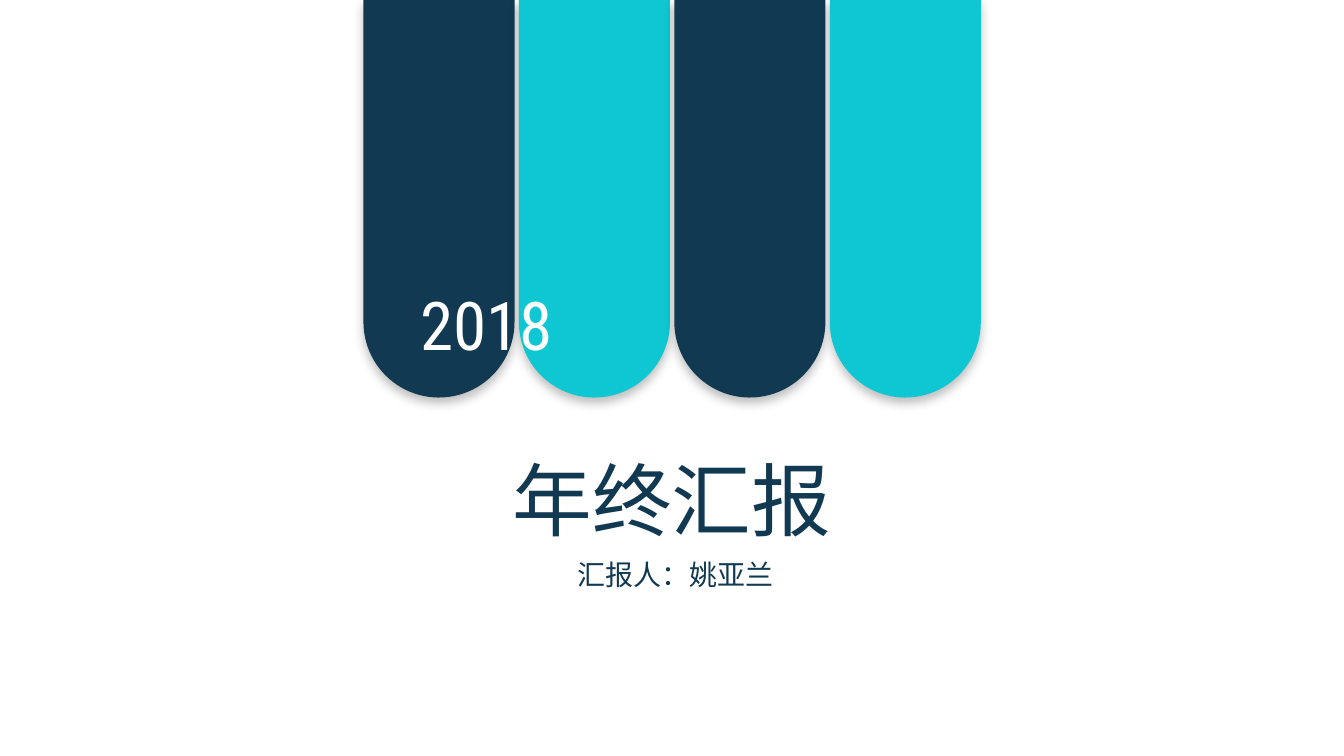
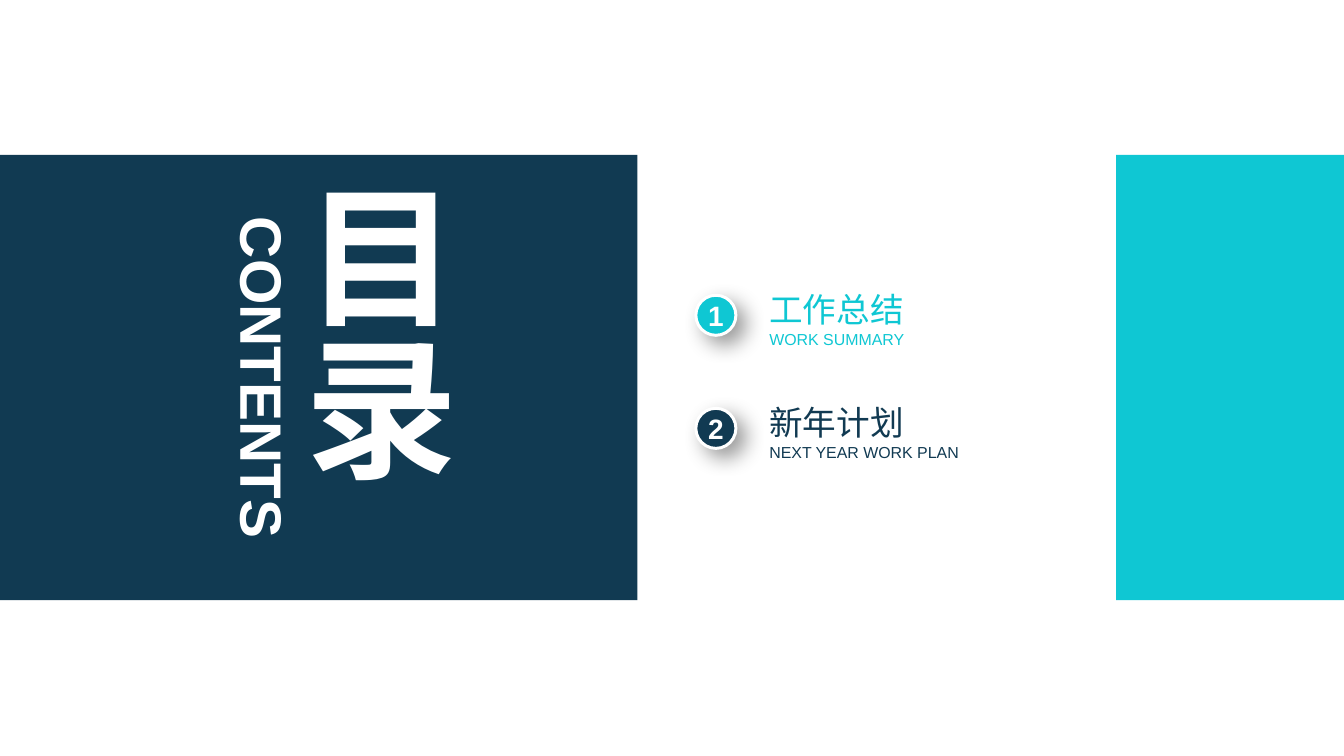
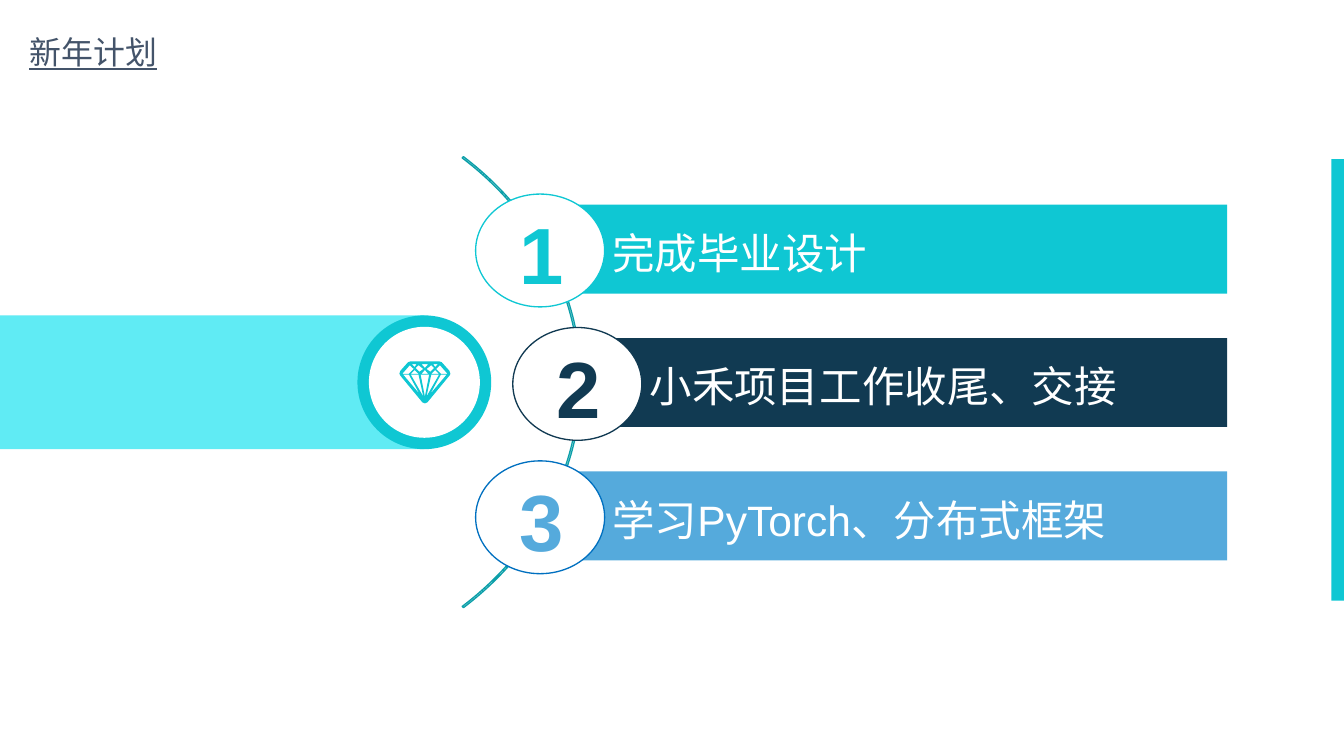
from lxml import etree
from pptx import Presentation
from pptx.dml.color import RGBColor
from pptx.enum.shapes import MSO_SHAPE
from pptx.enum.text import MSO_ANCHOR, MSO_AUTO_SIZE, PP_ALIGN
from pptx.oxml.ns import qn
from pptx.util import Pt

RECTANGLE = MSO_SHAPE.RECTANGLE
OVAL = MSO_SHAPE.OVAL
ROUND_TAB = MSO_SHAPE.ROUND_2_SAME_RECTANGLE
BLOCK_ARC = MSO_SHAPE.BLOCK_ARC
LEFT, CENTER = PP_ALIGN.LEFT, PP_ALIGN.CENTER
TOP, MIDDLE = MSO_ANCHOR.TOP, MSO_ANCHOR.MIDDLE
GROW = MSO_AUTO_SIZE.SHAPE_TO_FIT_TEXT

SLIDE_W, SLIDE_H = 1012.5, 569.5
NAVY, TEAL, SKY, WHITE = "113A52", "0FC7D3", "55AADC", "FFFFFF"
PALE_TEAL, DEEP_TEAL, BLUE, SLATE = "60EBF4", "0C9FA9", "0070C0", "44546A"
ARIAL, CONDENSED, CHINESE = "Arial", "Roboto Condensed", "Noto Sans CJK SC"

# Half of the diamond, in points from the middle of its top edge
DIAMOND_EDGE = [(-10.8, 0), (-12.7, 0.7), (-18.5, 7.2), (-19.2, 9.4),
                (-18.5, 10.8), (-1.8, 31), (0, 31.7)]
SIDE_FACETS = [
    [(-11.3, 2.9), (-8.4, 5.8), (-12, 9.4), (-17, 9.4)],
    [(-4.1, 24.5), (-16.3, 10.1), (-12, 10.1)],
    [(-4.8, 10.1), (-1.2, 26.6), (-10.6, 10.1)],
    [(-7.7, 6.5), (-4.8, 9.4), (-10.6, 9.4)],
    [(-7.7, 4.3), (-9.8, 2.2), (-6.3, 2.2)],
    [(-4.1, 7.9), (-7, 5), (-4.8, 2.9), (-1.2, 5.8)],
]
MIDDLE_FACETS = [
    [(0, 5), (-2.5, 2.2), (2.5, 2.2)],
    [(3.2, 10.1), (0, 26.6), (-3.2, 10.1)],
    [(2.5, 9.4), (-2.5, 9.4), (0, 6.5)],
]


def rgb(color):
    return RGBColor.from_string(color)


def paint(shape, fill, line=None, line_width=1):
    shape.shadow.inherit = False
    if fill:
        shape.fill.solid()
        shape.fill.fore_color.rgb = rgb(fill)
    else:
        shape.fill.background()
    if line:
        shape.line.color.rgb = rgb(line)
        shape.line.width = Pt(line_width)
    else:
        shape.line.fill.background()


def add_block(slide, kind, box, fill, line=None, line_width=1, adjust=()):
    shape = slide.shapes.add_shape(kind, *map(Pt, box))
    for index, value in enumerate(adjust):
        shape.adjustments[index] = value
    paint(shape, fill, line, line_width)
    return shape


def cast_shadow(shape, opacity, blur, distance, angle):
    effects = shape.element.spPr.find(qn("a:effectLst"))
    shadow = etree.SubElement(
        effects, qn("a:outerShdw"), blurRad=str(Pt(blur)), dist=str(Pt(distance)),
        dir=str(angle * 60000), algn="ctr", rotWithShape="0")
    black = etree.SubElement(shadow, qn("a:srgbClr"), val="000000")
    etree.SubElement(black, qn("a:alpha"), val=str(opacity * 1000))


def write(shape, lines, color, font=ARIAL, align=LEFT, spacing=None, **frame_format):
    """Fill a shape with paragraphs given as (text, font values)."""
    frame = shape.text_frame
    frame.word_wrap = True
    for key, value in frame_format.items():
        setattr(frame, key, value)
    for index, (text, values) in enumerate(lines):
        paragraph = frame.add_paragraph() if index else frame.paragraphs[0]
        paragraph.alignment = align
        if spacing:
            paragraph.line_spacing = spacing
        run = paragraph.add_run()
        run.text = text
        run.font.color.rgb = rgb(color)
        for key, value in {"name": font, **values}.items():
            setattr(run.font, key, value)
        etree.SubElement(run.font._element, qn("a:ea"), typeface=CHINESE)


def add_text(slide, box, lines, color, **text_format):
    label = slide.shapes.add_textbox(*map(Pt, box))
    write(label, lines, color, auto_size=GROW, **text_format)
    return label


def no_margins():
    return {f"margin_{side}": 0 for side in ("left", "top", "right", "bottom")}


def mirrored(points):
    return [(-x, y) for x, y in reversed(points)]


def add_diamond(slide, center, top, color):
    contours = [DIAMOND_EDGE + mirrored(DIAMOND_EDGE[:-1]), *MIDDLE_FACETS,
                *SIDE_FACETS, *map(mirrored, SIDE_FACETS)]
    builder = None
    for contour in contours:
        start, *rest = [(Pt(center + x), Pt(top + y)) for x, y in contour]
        if builder is None:
            builder = slide.shapes.build_freeform(*start)
        else:
            builder.move_to(*start)
        builder.add_line_segments(rest, close=True)
    paint(builder.convert_to_shape(), color)


def build_cover(slide):
    for index, color in enumerate((NAVY, TEAL, NAVY, TEAL)):
        tab = add_block(slide, ROUND_TAB, (273.8 + index * 117.1, 0, 113.8, 299.5),
                        color, adjust=(0.5, 0))
        tab.element.spPr.xfrm.set("flipV", "1")
        cast_shadow(tab, opacity=25, blur=8, distance=4, angle=90)
    add_text(slide, (309.6, 210.2, 393, 68.4), [("2018", {"size": Pt(50.6)})],
             WHITE, font=CONDENSED)
    add_text(slide, (214.6, 314.6, 583, 101.5), [("年终汇报", {"size": Pt(60)})],
             NAVY, font=CHINESE, align=CENTER, spacing=1.3)
    add_text(slide, (398.9, 409, 220.3, 40.3), [("汇报人：姚亚兰", {"size": Pt(21.1)})],
             NAVY, align=CENTER, spacing=1.3)


def build_contents(slide):
    band_top, band_height = 116.7, 335.5
    add_block(slide, RECTANGLE, (0, band_top, 480.3, band_height), NAVY)
    add_block(slide, RECTANGLE, (840.9, band_top, SLIDE_W - 840.9, band_height), TEAL)

    heading = add_text(slide, (213.8, 135.4, 139.7, 298.8),
                       [("目录", {"size": Pt(115), "bold": True})], WHITE,
                       align=CENTER, vertical_anchor=MIDDLE, **no_margins())
    heading.text_frame._txBody.bodyPr.set("vert", "eaVert")
    subheading = add_text(slide, (68.4, 257.8, 260, 53.3),
                          [("CONTENTS", {"size": Pt(44), "bold": True})], WHITE,
                          align=CENTER, **no_margins())
    subheading.rotation = 90

    chapters = [("工作总结", "WORK SUMMARY", TEAL),
                ("新年计划", "NEXT YEAR WORK PLAN", NAVY)]
    for index, (title, subtitle, color) in enumerate(chapters):
        drop = index * 85.2
        badge = add_block(slide, OVAL, (524.2, 222.4 + drop, 30.2, 30.2), color,
                          WHITE, 2.25)
        cast_shadow(badge, opacity=40, blur=16, distance=9, angle=45)
        write(badge, [(str(index + 1), {"size": Pt(21.1), "bold": True})], WHITE,
              align=CENTER, vertical_anchor=MIDDLE, **no_margins())
        add_text(slide, (579.6, 217.6 + drop, 194.4, 45.4),
                 [(title, {"size": Pt(25.3)}), (subtitle, {"size": Pt(12)})], color,
                 vertical_anchor=MIDDLE, **no_margins())


def add_goal(slide, number, text, color, outline, left, top):
    """Add a bar with its numbered oval; left and top are those of the bar."""
    right_edge = 924.5
    add_block(slide, RECTANGLE, (left, top, right_edge - left, 67), color)
    add_block(slide, OVAL, (left - 49.2, top - 8, 97.2, 85), WHITE, outline)
    add_text(slide, (left - 23.5, top - 17.6, 45.4, 94.3),
             [(str(number), {"size": Pt(60), "bold": True})], color,
             align=CENTER, spacing=1.2)
    add_text(slide, (left + 46.8, top + 5.4, 429, 54), [(text, {"size": Pt(32)})],
             WHITE, spacing=1.2)


def build_plan(slide):
    hub_x, hub_y = 319.7, 288
    add_block(slide, RECTANGLE, (0, hub_y - 50.4, hub_x, 100.8), PALE_TEAL)
    for radius, color in ((50.4, TEAL), (41.8, WHITE)):
        add_block(slide, OVAL, (hub_x - radius, hub_y - radius, 2 * radius, 2 * radius),
                  color)
    add_diamond(slide, hub_x + 0.4, 272.2, TEAL)
    add_block(slide, BLOCK_ARC, (-79.2, 62.6, 517, 450.7), None, DEEP_TEAL,
              adjust=(189, 27, 0.003))

    goals = [("完成毕业设计", TEAL, TEAL, 0),
             ("小禾项目工作收尾、交接", NAVY, NAVY, 28),
             ("学习PyTorch、分布式框架", SKY, BLUE, 0)]
    for index, (text, color, outline, shift) in enumerate(goals):
        add_goal(slide, index + 1, text, color, outline,
                 407.5 + shift, 154.2 + index * 100.5)

    add_block(slide, RECTANGLE, (1003, 120, SLIDE_W - 1003, 332.5), TEAL)
    add_text(slide, (15.1, 6.5, 360.7, 51.1),
             [("新年计划", {"size": Pt(24), "underline": True})], SLATE,
             font=CONDENSED, spacing=1.5)


def main():
    deck = Presentation()
    deck.slide_width, deck.slide_height = Pt(SLIDE_W), Pt(SLIDE_H)
    blank = deck.slide_layouts[6]
    for build in (build_cover, build_contents, build_plan):
        build(deck.slides.add_slide(blank))
    deck.save("out.pptx")


if __name__ == "__main__":
    main()
